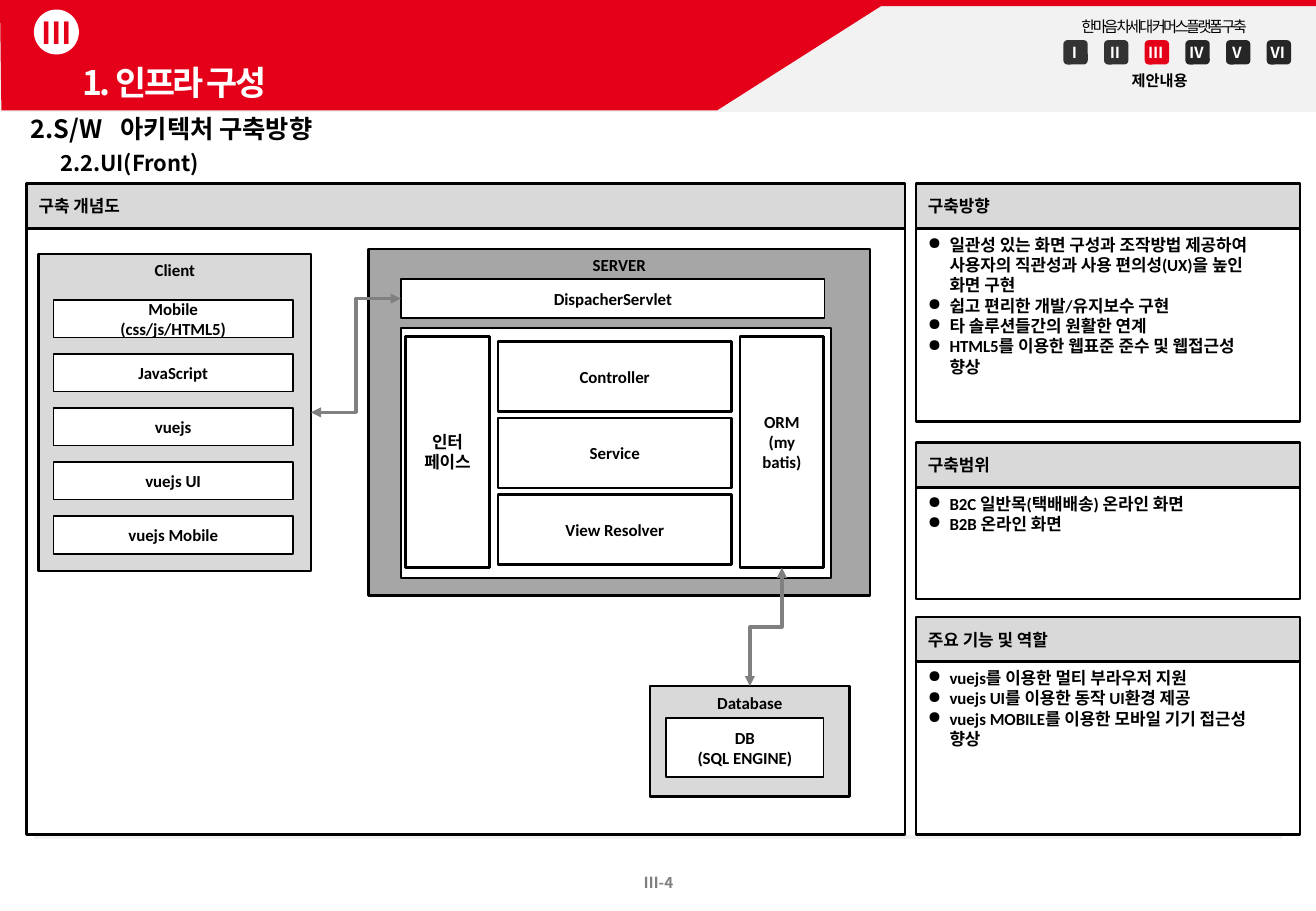
import pptx
import pptx.util
import pptx.dml.color
import pptx.enum.shapes
import pptx.enum.text
import pptx.oxml.ns
from lxml import etree

Cm = pptx.util.Cm
Pt = pptx.util.Pt
RGBColor = pptx.dml.color.RGBColor
SHAPE = pptx.enum.shapes.MSO_SHAPE
CONNECTOR = pptx.enum.shapes.MSO_CONNECTOR
ALIGN = pptx.enum.text.PP_ALIGN
ANCHOR = pptx.enum.text.MSO_ANCHOR
qn = pptx.oxml.ns.qn

RED = RGBColor(0xE5, 0x00, 0x19)
WHITE = RGBColor(0xFF, 0xFF, 0xFF)
BLACK = RGBColor(0x00, 0x00, 0x00)
PALE_GRAY = RGBColor(0xF2, 0xF2, 0xF2)
LIGHT_GRAY = RGBColor(0xD9, 0xD9, 0xD9)
MID_GRAY = RGBColor(0xA6, 0xA6, 0xA6)
ARROW_GRAY = RGBColor(0x80, 0x80, 0x80)
CHIP_DARK = RGBColor(0x33, 0x33, 0x33)
CHIP_DARKER = RGBColor(0x26, 0x26, 0x26)

KOREAN_FONT = "Noto Sans CJK KR"
BODY_FONT = "Calibri"

SIDE_PANELS = [
    ("구축방향", 3.84, 4.04, [
        "일관성 있는 화면 구성과 조작방법 제공하여\n사용자의 직관성과 사용 편의성(UX)을 높인\n화면 구현",
        "쉽고 편리한 개발/유지보수 구현",
        "타 솔루션들간의 원활한 연계",
        "HTML5를 이용한 웹표준 준수 및 웹접근성\n향상"]),
    ("구축범위", 9.25, 2.34, [
        "B2C 일반목(택배배송) 온라인 화면",
        "B2B 온라인 화면"]),
    ("주요 기능 및 역할", 12.9, 3.61, [
        "vuejs를 이용한 멀티 부라우저 지원",
        "vuejs UI를 이용한 동작 UI환경 제공",
        "vuejs MOBILE를 이용한 모바일 기기 접근성\n향상"]),
]


def add_text(paragraph, text, size=10, color=BLACK, font=BODY_FONT, bold=True, spacing=0):
    """Add one run per line of text, with line breaks between them."""
    for index, line in enumerate(text.split("\n")):
        if index:
            paragraph.add_line_break()
        run = paragraph.add_run()
        run.text = line
        run.font.size = Pt(size)
        run.font.bold = bold
        run.font.name = font
        run.font.color.rgb = color
        properties = run.font._element
        etree.SubElement(properties, qn("a:ea")).set("typeface", KOREAN_FONT)
        if spacing:
            properties.set("spc", str(round(spacing * 100)))


def style_shape(shape, fill, line_width=0):
    shape.shadow.inherit = False
    shape.fill.solid()
    shape.fill.fore_color.rgb = fill
    if line_width:
        shape.line.color.rgb = BLACK
        shape.line.width = Pt(line_width)
    else:
        shape.line.fill.background()


def add_box(slide, kind, left, top, width, height, fill, line_width=0, lines=(),
            align=ALIGN.CENTER, anchor=ANCHOR.MIDDLE, **text_style):
    shape = slide.shapes.add_shape(kind, Cm(left), Cm(top), Cm(width), Cm(height))
    style_shape(shape, fill, line_width)
    frame = shape.text_frame
    frame.word_wrap = True
    frame.vertical_anchor = anchor
    for index, line in enumerate(lines):
        paragraph = frame.add_paragraph() if index else frame.paragraphs[0]
        paragraph.alignment = align
        add_text(paragraph, line, **text_style)
    return shape


def add_label(slide, left, top, width, height, text, size, color=BLACK,
              align=ALIGN.LEFT, wrap=False, **text_style):
    box = slide.shapes.add_textbox(Cm(left), Cm(top), Cm(width), Cm(height))
    box.text_frame.word_wrap = wrap
    paragraph = box.text_frame.paragraphs[0]
    paragraph.alignment = align
    add_text(paragraph, text, size, color, KOREAN_FONT, **text_style)
    return box


def set_insets(frame, left=0, top=0, right=0, bottom=0):
    frame.margin_left, frame.margin_top = Cm(left), Cm(top)
    frame.margin_right, frame.margin_bottom = Cm(right), Cm(bottom)


def add_heading(slide, left, top, width, text, size):
    box = add_label(slide, left, top, width, 0.99, text, size, align=ALIGN.JUSTIFY, wrap=True)
    set_insets(box.text_frame)
    box.text_frame.vertical_anchor = ANCHOR.MIDDLE
    tabs = etree.SubElement(box.text_frame.paragraphs[0]._p.get_or_add_pPr(), qn("a:tabLst"))
    etree.SubElement(tabs, qn("a:tab"), pos=str(Cm(1.88)), algn="l")


def add_bullet(paragraph):
    properties = paragraph._p.get_or_add_pPr()
    properties.set("marL", str(Cm(0.45)))
    properties.set("indent", str(-Cm(0.45)))
    etree.SubElement(properties, qn("a:buChar")).set("char", "●")


def add_panel(slide, left, top, width, body_height, title, items=()):
    header_height = 0.94
    body = add_box(slide, SHAPE.RECTANGLE, left, top + header_height, width, body_height,
                   WHITE, 1.5, items, ALIGN.LEFT, ANCHOR.TOP)
    if items:
        for paragraph in body.text_frame.paragraphs:
            add_bullet(paragraph)
    add_box(slide, SHAPE.RECTANGLE, left, top, width, header_height,
            LIGHT_GRAY, 1.5, [title], ALIGN.LEFT)


def style_connector(connector, color, width, arrows=False):
    connector.line.color.rgb = color
    connector.line.width = Pt(width)
    if arrows:
        for end in ("a:headEnd", "a:tailEnd"):
            etree.SubElement(connector.line._get_or_add_ln(), qn(end)).set("type", "triangle")
    etree.SubElement(connector._element.spPr, qn("a:effectLst"))


def add_elbow_arrow(slide, start, start_side, end, end_side):
    connector = slide.shapes.add_connector(CONNECTOR.ELBOW, 0, 0, 0, 0)
    connector.begin_connect(start, start_side)
    connector.end_connect(end, end_side)
    style_connector(connector, ARROW_GRAY, 2, arrows=True)
    return connector


def turn_downward(connector):
    """Rotate an elbow that runs down and left so that it leaves vertically."""
    left, top, width, height = connector.left, connector.top, connector.width, connector.height
    connector.left = left + (width - height) // 2
    connector.top = top + (height - width) // 2
    connector.width, connector.height = height, width
    transform = connector._element.spPr.find(qn("a:xfrm"))
    transform.attrib.pop("flipH", None)
    transform.set("rot", "5400000")


def add_banner(slide):
    add_box(slide, SHAPE.RECTANGLE, 0, 0, 27.51, 2.34, PALE_GRAY)
    builder = slide.shapes.build_freeform(Cm(0.03), Cm(2.31))
    builder.add_line_segments([(Cm(14.99), Cm(2.31)), (Cm(18.62), 0), (0, 0)], close=True)
    style_shape(builder.convert_to_shape(), RED)
    add_box(slide, SHAPE.RECTANGLE, 0, 0, 27.51, 0.13, RED)
    add_box(slide, SHAPE.OVAL, 0.71, 0.2, 0.94, 0.94, WHITE)
    add_label(slide, 0.61, 0.18, 1.14, 1.02, "Ⅲ", 18, RED)
    add_label(slide, 21.89, 0.23, 4.42, 0.64, "한마음 차세대 커머스플랫폼 구축", 9,
              align=ALIGN.RIGHT, bold=False, spacing=-1.5)
    chip_fills = [CHIP_DARK, CHIP_DARK, RED, CHIP_DARKER, CHIP_DARKER, CHIP_DARKER]
    for index, (numeral, fill) in enumerate(zip("ⅠⅡⅢⅣⅤⅥ", chip_fills)):
        chip = add_box(slide, SHAPE.ROUNDED_RECTANGLE, 22.23 + 0.85 * index, 0.84, 0.51, 0.51,
                       fill, lines=[numeral], size=9, color=WHITE, font=KOREAN_FONT, spacing=-1.2)
        set_insets(chip.text_frame, right=0.05)
    add_label(slide, 23.34, 1.37, 1.8, 0.64, "제안내용", 9, align=ALIGN.CENTER)
    title = add_label(slide, 1.47, 1.27, 14.83, 0.86, "1. 인프라 구성", 20, WHITE,
                      wrap=True, spacing=-1.5).text_frame.paragraphs[0]
    title.line_spacing = 0.9
    title.space_before = Pt(10)


def add_footer(slide):
    rule = slide.shapes.add_connector(CONNECTOR.STRAIGHT, Cm(0.71), Cm(17.5), Cm(26.8), Cm(17.5))
    style_connector(rule, PALE_GRAY, 2.25)
    add_label(slide, 12.85, 18.14, 1.83, 0.64, "Ⅲ-4", 9, ARROW_GRAY, ALIGN.CENTER, wrap=True)


def add_group_box(slide, left, top, width, height, fill, lines=()):
    return add_box(slide, SHAPE.FLOWCHART_PROCESS, left, top, width, height, fill, 1.5,
                   lines, anchor=ANCHOR.TOP)


def add_part(slide, left, top, width, height, lines, line_width=1.5):
    return add_box(slide, SHAPE.RECTANGLE, left, top, width, height, WHITE, line_width, lines)


def add_architecture(slide):
    database = add_group_box(slide, 13.59, 14.35, 4.17, 2.31, LIGHT_GRAY, ["Database"])
    add_part(slide, 13.92, 15.01, 3.3, 1.24, ["DB", "(SQL ENGINE)"], 1)

    add_group_box(slide, 7.7, 5.21, 10.49, 7.24, MID_GRAY, ["SERVER"])
    add_group_box(slide, 8.38, 6.86, 8.99, 5.23, WHITE)
    for index, layer in enumerate(["Controller", "Service", "View Resolver"]):
        add_part(slide, 10.41, 7.14 + 1.6 * index, 4.88, 1.47, [layer])
    servlet = add_part(slide, 8.38, 5.84, 8.86, 0.81, ["DispacherServlet"], 1)
    add_part(slide, 8.48, 7.04, 1.75, 4.83, ["인터", "페이스"])
    mapper = add_part(slide, 15.47, 7.04, 1.75, 4.83, ["ORM", "(my batis)"])
    mapper.text_frame.margin_bottom = Cm(0.55)

    client = add_group_box(slide, 0.81, 5.31, 5.69, 6.63, LIGHT_GRAY, ["Client"])
    client_parts = [["Mobile", "(css/js/HTML5)"], ["JavaScript"], ["vuejs"],
                    ["vuejs UI"], ["vuejs Mobile"]]
    for index, lines in enumerate(client_parts):
        add_part(slide, 1.12, 6.27 + 1.13 * index, 5, 0.79, lines, 1)

    add_elbow_arrow(slide, client, 3, servlet, 1)
    turn_downward(add_elbow_arrow(slide, mapper, 2, database, 0))


def main():
    presentation = pptx.Presentation()
    presentation.slide_width, presentation.slide_height = Cm(27.51), Cm(19.05)
    slide = presentation.slides.add_slide(presentation.slide_layouts[6])
    add_banner(slide)
    add_footer(slide)
    add_panel(slide, 0.56, 3.84, 18.36, 12.67, "구축 개념도")
    for title, top, body_height, items in SIDE_PANELS:
        add_panel(slide, 19.15, top, 8.03, body_height, title, items)
    add_heading(slide, 0.64, 2.18, 6.76, "2.S/W\t아키텍처 구축방향", 15)
    add_heading(slide, 1.27, 2.9, 5.49, "2.2.UI(Front)", 13)
    add_architecture(slide)
    presentation.save("out.pptx")


if __name__ == "__main__":
    main()
